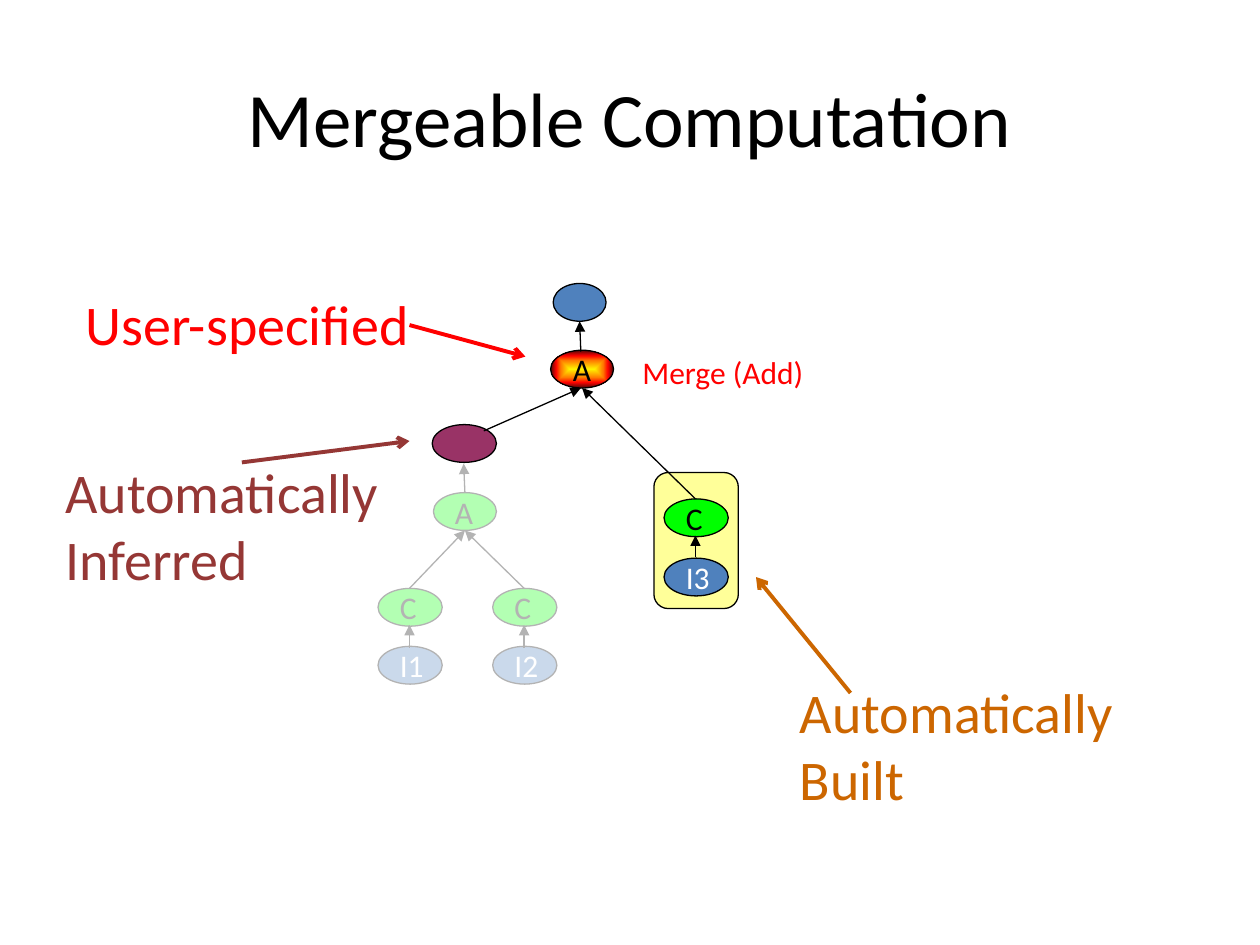
import pptx
import pptx.util
import pptx.oxml
import pptx.oxml.ns
import pptx.dml.color
import pptx.enum.shapes
import pptx.enum.text
from lxml import etree

Inches, Pt = pptx.util.Inches, pptx.util.Pt
SHAPE = pptx.enum.shapes.MSO_SHAPE
ALIGN = pptx.enum.text.PP_ALIGN
ANCHOR = pptx.enum.text.MSO_ANCHOR
qn = pptx.oxml.ns.qn

COLORS = {
    "black": "000000", "white": "FFFFFF", "red": "FF0000",
    "green": "00FF00", "blue": "4F81BD", "plum": "993366",
    "cream": "FFFF99", "brown": "953735", "orange": "CC6600",
}
# Glow from the centre outwards: percent and colour
GLOW = [(0, "FFF200"), (45, "FF7A00"), (70, "FF0300"), (100, "4D0808")]


def rgb(name):
    return pptx.dml.color.RGBColor.from_string(COLORS[name])


def write(frame, text, size=18, color="black", align=ALIGN.LEFT,
          anchor=ANCHOR.TOP, wrap=True):
    frame.word_wrap = wrap
    frame.vertical_anchor = anchor
    para = frame.paragraphs[0]
    para.alignment = align
    run = para.add_run()
    run.text = text
    run.font.name = "Calibri"
    run.font.size = Pt(size)
    run.font.color.rgb = rgb(color)


class Board:
    """Holds the style and the current slide."""
    oval = (0.51, 0.3)
    thin, thick = 0.75, 2.25

    def __init__(self, slide):
        self.slide = slide

    def label(self, box, text, **style):
        item = self.slide.shapes.add_textbox(*map(Inches, box))
        write(item.text_frame, text, **style)

    def shape(self, kind, box, fill, line="black"):
        item = self.slide.shapes.add_shape(kind, *map(Inches, box))
        item.shadow.inherit = False
        item.fill.solid()
        item.fill.fore_color.rgb = rgb(fill)
        if line:
            item.line.color.rgb = rgb(line)
            item.line.width = Pt(self.thin)
        else:
            item.line.fill.background()
        return item

    def node(self, left, top, fill, text="", color="black", width=oval[0],
             align=ALIGN.LEFT):
        item = self.shape(SHAPE.OVAL, (left, top, width, self.oval[1]), fill)
        if text:
            write(item.text_frame, text, color=color, align=align,
                  anchor=ANCHOR.MIDDLE, wrap=False)
        return item

    def glow(self, item):
        stops = "".join(f'<a:gs pos="{pos * 1000}"><a:srgbClr val="{tint}"/></a:gs>'
                        for pos, tint in GLOW)
        grad = pptx.oxml.parse_xml(
            f'<a:gradFill {pptx.oxml.ns.nsdecls("a")} rotWithShape="1">'
            f'<a:gsLst>{stops}</a:gsLst><a:path path="shape">'
            '<a:fillToRect l="50000" t="50000" r="50000" b="50000"/>'
            '</a:path></a:gradFill>')
        props = item.fill._xPr
        props.replace(props.find(qn("a:solidFill")), grad)

    def veil(self, box, alpha):
        item = self.shape(SHAPE.RECTANGLE, box, "white", line=None)
        tint = item.fill._xPr.find(qn("a:solidFill"))[0]
        etree.SubElement(tint, qn("a:alpha"), val=str(alpha * 1000))

    def arrow(self, start, end, color="black", width=thin, head="triangle"):
        item = self.slide.shapes.add_connector(
            pptx.enum.shapes.MSO_CONNECTOR.STRAIGHT,
            *map(Inches, (*start, *end)))
        item.line.color.rgb = rgb(color)
        item.line.width = Pt(width)
        etree.SubElement(item.line._ln, qn("a:tailEnd"), type=head)
        etree.SubElement(item._element.spPr, qn("a:effectLst"))

    def note(self, box, text, color, start, end):
        self.label(box, text, size=32, color=color)
        self.arrow(start, end, color, self.thick, "arrow")


def main():
    deck = pptx.Presentation()
    deck.slide_width, deck.slide_height = Inches(10), Inches(7.5)
    board = Board(deck.slides.add_slide(deck.slide_layouts[6]))

    # Title
    board.label((0.5, 0.3, 9, 1.25), "Mergeable Computation", size=44,
                align=ALIGN.CENTER, anchor=ANCHOR.MIDDLE)

    # Old subtree, faded by a white veil
    for left, name in ((3, "I1"), (3.91, "I2")):
        mid = left + 0.25
        board.node(left, 4.67, "green", "C")
        board.node(left, 5.13, "blue", name, "white")
        board.arrow((mid, 5.14), (mid, 4.96))
        board.arrow((mid, 4.67), (3.69, 4.21))
    board.node(3.44, 3.91, "green", "A", width=0.5)
    board.arrow((3.69, 3.91), (3.68, 3.68))
    board.veil((2.67, 3.68, 2.33, 3.25), 70)

    # New branch
    panel = board.shape(SHAPE.ROUNDED_RECTANGLE, (5.19, 3.75, 0.67, 1.08), "cream")
    panel.adjustments[0] = 0.17
    board.node(5.27, 3.96, "green", "C")
    board.node(5.27, 4.43, "blue", "I3", "white")
    board.arrow((5.52, 4.42), (5.52, 4.25))

    # Merge at the top
    board.node(4.39, 2.25, "blue", width=0.42)
    board.glow(board.node(4.37, 2.78, "red", "A", width=0.5, align=ALIGN.CENTER))
    board.node(3.43, 3.37, "plum")
    board.arrow((4.61, 2.79), (4.6, 2.55))
    board.arrow((3.84, 3.42), (4.61, 3.08))
    board.arrow((5.52, 3.96), (4.62, 3.08))
    board.label((5, 2.75, 1.5, 0.4), "Merge (Add)", color="red")

    # Notes with their arrows
    board.note((0.58, 2.25, 3.17, 0.64), "User-specified", "red",
               (3.25, 2.58), (4.17, 2.83))
    board.note((0.42, 3.58, 3.17, 1.18), "Automatically Inferred", "brown",
               (1.92, 3.67), (3.25, 3.5))
    board.note((6.25, 5.33, 2.92, 1.18), "Automatically Built", "orange",
               (6.75, 5.5), (6, 4.58))

    deck.save("out.pptx")


if __name__ == "__main__":
    main()
